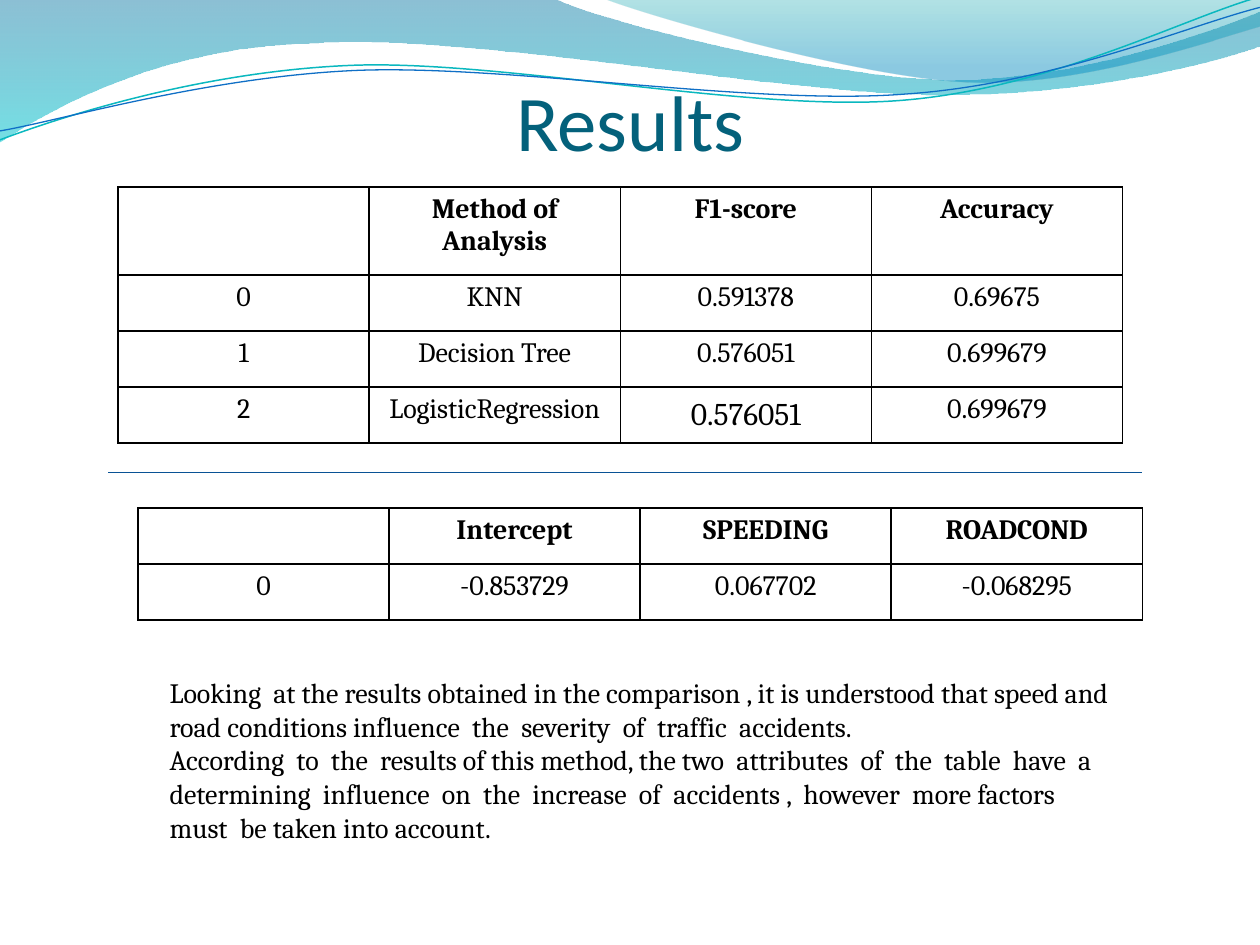
from lxml.etree import SubElement
from pptx import Presentation
from pptx.dml.color import RGBColor
from pptx.enum.shapes import MSO_CONNECTOR
from pptx.enum.text import MSO_ANCHOR, MSO_AUTO_SIZE, PP_ALIGN
from pptx.oxml.ns import qn
from pptx.util import Cm, Pt

SLIDE_BOX = (0, 0, 25.4, 19.05)

BACK_SWOOSH = [
    (0, 0), (11.18, -0.03),
    (12.09, 0.43, 16.87, 1.6, 19.25, 1.6), (21.67, 1.6, 24.33, 0.66, 25.4, 0.23),
    (25.43, 0.91),
    (24.97, 1.12, 22.1, 1.93, 18.95, 1.91), (15.8, 1.91, 9.7, 0.71, 6.53, 0.86),
    (3.28, 0.91, 1.17, 2.11, -0.03, 2.87), (0, 0),
]
FRONT_SWOOSH = [
    (12.17, -0.03),
    (12.93, 0.28, 17.32, 1.57, 19.53, 1.65), (21.74, 1.75, 24.41, 0.81, 25.4, 0.53),
    (25.4, 0), (12.17, -0.03),
]
TEAL_WAVE = [
    (0, 2.82),
    (1.22, 2.36, 4.01, 1.45, 7.04, 1.32), (10.03, 1.19, 15.06, 2.26, 18.11, 2.03),
    (21.16, 1.8, 23.83, 0.38, 25.35, -0.05),
]
BLUE_WAVE = [
    (0, 2.64),
    (1.19, 2.44, 4.17, 1.55, 7.19, 1.42), (10.24, 1.3, 15.16, 2.13, 18.21, 1.9),
    (21.23, 1.7, 23.9, 0.53, 25.4, 0.15),
]

SCORES = [
    ["", "Method of Analysis", "F1-score", "Accuracy"],
    ["0", "KNN", "0.591378", "0.69675"],
    ["1", "Decision Tree", "0.576051", "0.699679"],
    ["2", "LogisticRegression", "0.576051", "0.699679"],
]
COEFFICIENTS = [
    ["", "Intercept", "SPEEDING", "ROADCOND"],
    ["0", "-0.853729", "0.067702", "-0.068295"],
]
CONCLUSIONS = [
    "Looking  at the results obtained in the comparison , it is understood that speed and "
    "road conditions influence  the  severity  of  traffic  accidents.",
    "According  to  the  results of this method, the two  attributes  of  the  table  have  a  "
    "determining  influence  on  the  increase  of  accidents ,  however  more factors  "
    "must  be taken into account.",
]


def color(hex_value):
    return RGBColor.from_string(hex_value)


def add_run(paragraph, text, size, font="Cambria", hex_value="000000", bold=False):
    run = paragraph.add_run()
    run.text = text
    run.font.name = font
    run.font.size = Pt(size)
    run.font.bold = bold
    run.font.color.rgb = color(hex_value)


def add_outline(slide, box, segments, closed):
    left, top = box[:2]
    ends = [(Cm(left + x), Cm(top + y)) for *_, x, y in segments]
    builder = slide.shapes.build_freeform(*ends[0])
    builder.add_line_segments(ends[1:], close=closed)
    shape = builder.convert_to_shape()
    shape.shadow.inherit = False
    lines = list(shape.element.iter(qn("a:lnTo")))
    for line, segment in zip(lines, segments[1:]):
        if len(segment) == 6:
            line.tag = qn("a:cubicBezTo")
            controls = zip(segment[:4:2], segment[1:4:2])
            for index, (x, y) in enumerate(controls):
                point = SubElement(line, qn("a:pt"))
                point.set("x", str(Cm(left + x) - shape.left))
                point.set("y", str(Cm(top + y) - shape.top))
                line.insert(index, point)
    return shape


def add_swoosh(slide, box, segments, stops):
    shape = add_outline(slide, box, segments, True)
    shape.line.fill.background()
    shape.fill.gradient()
    shape.fill.gradient_angle = 270
    for stop, (position, hex_value, _) in zip(shape.fill.gradient_stops, stops):
        stop.position = position
        stop.color.rgb = color(hex_value)
    for element, (_, _, opacity) in zip(shape.element.iter(qn("a:srgbClr")), stops):
        SubElement(element, qn("a:alpha"), val=str(opacity * 1000))


def add_wave(slide, box, segments, hex_value, width):
    shape = add_outline(slide, box, segments, False)
    shape.fill.background()
    shape.line.color.rgb = color(hex_value)
    shape.line.width = Pt(width)


def add_banner(slide, box):
    add_swoosh(slide, box, BACK_SWOOSH, [(0, "0074A1", 45), (1, "00C6CF", 55)])
    add_swoosh(slide, box, FRONT_SWOOSH, [(0, "00A1A9", 30), (0.8, "008BBF", 45)])
    add_wave(slide, box, TEAL_WAVE, "0AB8BF", 0.85)
    add_wave(slide, box, BLUE_WAVE, "0F6FC6", 0.75)


def add_title(slide, box):
    frame = slide.shapes.add_textbox(*map(Cm, box)).text_frame
    frame.word_wrap = True
    frame.vertical_anchor = MSO_ANCHOR.BOTTOM
    frame.margin_left = frame.margin_right = frame.margin_bottom = 0
    paragraph = frame.paragraphs[0]
    paragraph.alignment = PP_ALIGN.CENTER
    add_run(paragraph, "Results", 45, "Calibri", "04617B")


def add_borders(cell):
    properties = cell._tc.get_or_add_tcPr()
    for side in ("a:lnL", "a:lnR", "a:lnT", "a:lnB"):
        line = SubElement(properties, qn(side), w=str(Pt(1)))
        fill = SubElement(line, qn("a:solidFill"))
        SubElement(fill, qn("a:srgbClr"), val="000000")


def add_grid(slide, box, rows, heights, large_cell=None):
    frame = slide.shapes.add_table(len(rows), len(rows[0]), *map(Cm, box))
    table = frame.table
    table.first_row = table.horz_banding = False
    for column in table.columns:
        column.width = Cm(box[2] / len(rows[0]))
    for row_index, (texts, height) in enumerate(zip(rows, heights)):
        table.rows[row_index].height = Cm(height)
        for column_index, text in enumerate(texts):
            cell = table.cell(row_index, column_index)
            add_borders(cell)
            cell.fill.background()
            large = (row_index, column_index) == large_cell
            if large:
                cell.vertical_anchor = MSO_ANCHOR.MIDDLE
                cell.margin_left = cell.margin_right = Cm(0.1)
                cell.margin_top = cell.margin_bottom = Cm(0.1)
            if text:
                paragraph = cell.text_frame.paragraphs[0]
                paragraph.alignment = PP_ALIGN.CENTER
                add_run(paragraph, text, 18 if large else 16, bold=row_index == 0)


def add_divider(slide, box):
    left, top, width, height = box
    line = slide.shapes.add_connector(
        MSO_CONNECTOR.STRAIGHT, Cm(left), Cm(top), Cm(left + width), Cm(top + height))
    line.line.color.rgb = color("095295")
    line.line.width = Pt(0.75)
    SubElement(line.element.spPr, qn("a:effectLst"))


def add_conclusions(slide, box):
    frame = slide.shapes.add_textbox(*map(Cm, box)).text_frame
    frame.word_wrap = True
    frame.auto_size = MSO_AUTO_SIZE.SHAPE_TO_FIT_TEXT
    for index, text in enumerate(CONCLUSIONS):
        paragraph = frame.add_paragraph() if index else frame.paragraphs[0]
        add_run(paragraph, text, 16)


def main():
    presentation = Presentation()
    presentation.slide_width = Cm(SLIDE_BOX[2])
    presentation.slide_height = Cm(SLIDE_BOX[3])
    slide = presentation.slides.add_slide(presentation.slide_layouts[6])
    add_banner(slide, SLIDE_BOX)
    add_title(slide, (1.28, 1.98, 22.86, 1.4))
    add_grid(slide, (2.38, 3.77, 20.25, 5.16), SCORES, [1.77, 1.13, 1.13, 1.13], (3, 2))
    add_grid(slide, (2.78, 10.24, 20.25, 2.26), COEFFICIENTS, [1.13, 1.13])
    add_divider(slide, (2.18, 9.52, 20.84, 0))
    add_conclusions(slide, (3.17, 13.5, 19.63, 3.68))
    presentation.save("out.pptx")


if __name__ == "__main__":
    main()
